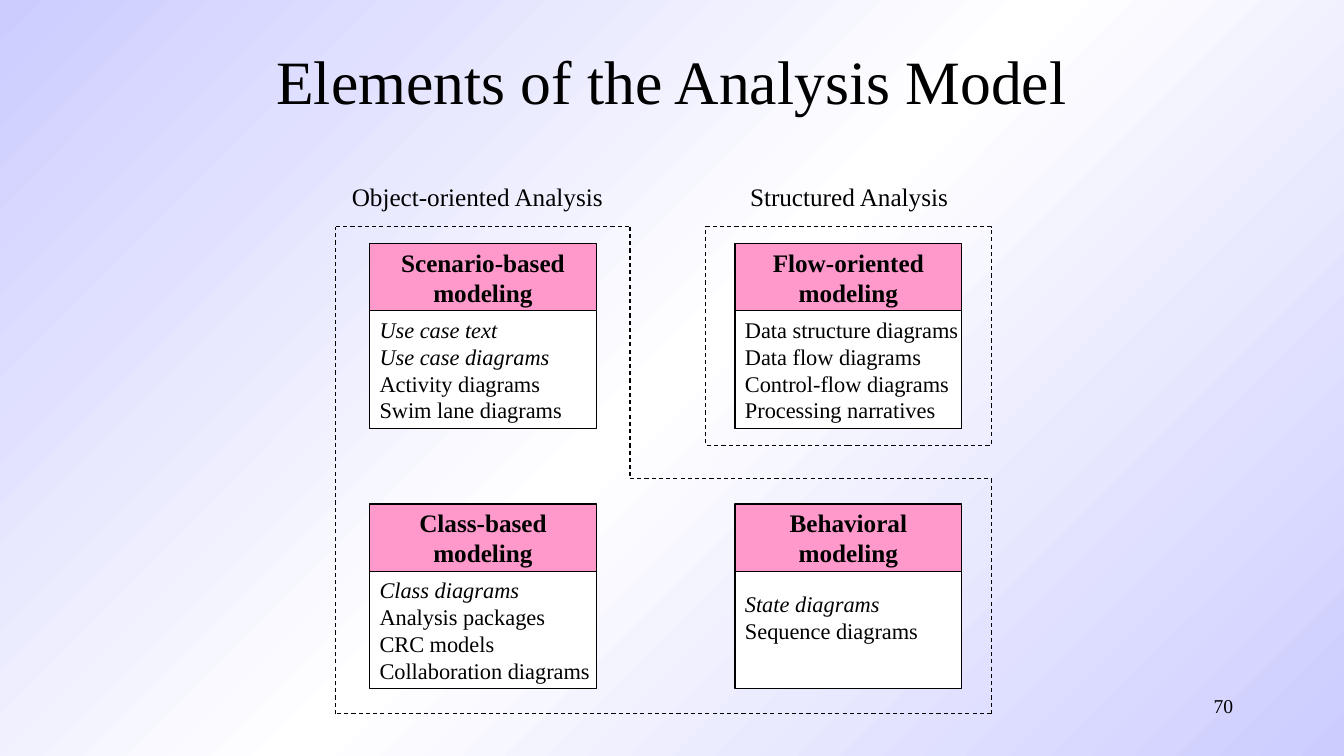
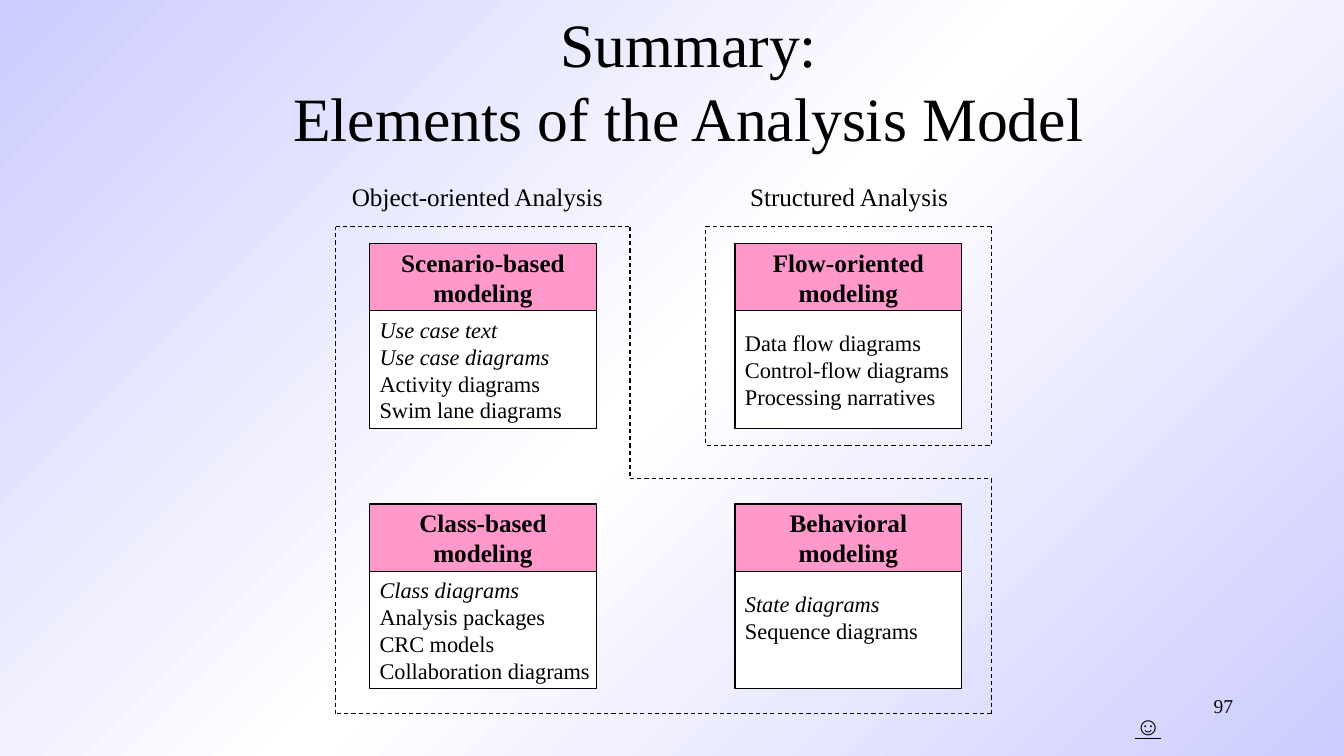
import copy
import itertools

import pptx
import pptx.dml.color
import pptx.enum.dml
import pptx.enum.shapes
import pptx.enum.text
import pptx.oxml
import pptx.oxml.ns
import pptx.util

Pt = pptx.util.Pt
ALIGN = pptx.enum.text.PP_ALIGN
ANCHOR = pptx.enum.text.MSO_ANCHOR
RECT = pptx.enum.shapes.MSO_SHAPE.RECTANGLE
DASH = pptx.enum.dml.MSO_LINE.DASH

COLORS = {"ink": "000000", "paper": "FFFFFF", "pink": "FF99CC", "lilac": "CCCCFF"}
FONT = "Times New Roman"
CARD = 162
HEAD = 48
BODY = 84
COLS = (264, 525)
ROWS = (174, 360)
LINE = 18.4

OUTLINE = [(240, 162), (450, 162), (450, 342), (708, 342), (708, 510), (240, 510)]
FLOWS = ["Data flow diagrams", "Control-flow diagrams", "Processing narratives"]
SLIDES = [
    (["Elements of the Analysis Model"], 174, "70", ["Data structure diagrams"] + FLOWS),
    (["Summary:", "Elements of the Analysis Model"], 186, "97", FLOWS),
]


def color(name):
    return pptx.dml.color.RGBColor.from_string(COLORS[name])


def add_run(para, text, size, bold=False, italic=False, under=False):
    run = para.add_run()
    run.text = text
    font = run.font
    font.name = FONT
    font.size = Pt(size)
    font.bold = bold
    font.italic = italic
    font.underline = under
    font.color.rgb = color("ink")


def set_line(line, dash=None):
    line.color.rgb = color("ink")
    line.width = Pt(0.75)
    if dash:
        line.dash_style = dash


def add_box(shapes, left, top, width, height, fill=None, dash=None):
    box = shapes.add_shape(RECT, Pt(left), Pt(top), Pt(width), Pt(height))
    box.shadow.inherit = False
    if fill:
        box.fill.solid()
        box.fill.fore_color.rgb = color(fill)
    else:
        box.fill.background()
    set_line(box.line, dash)
    return box


def fill_box(box, lines, size, align, bold=False, slant=0):
    frame = box.text_frame
    frame.word_wrap = True
    frame.vertical_anchor = ANCHOR.MIDDLE
    for i, text in enumerate(lines):
        para = frame.add_paragraph() if i else frame.paragraphs[0]
        para.alignment = align
        add_run(para, text, size, bold, italic=i < slant)


def add_card(slide, col, row, name, lines, slant=0, lift=0):
    shapes = slide.shapes.add_group_shape().shapes
    left, top = COLS[col], ROWS[row]
    body = add_box(shapes, left, top + HEAD, CARD, BODY, "paper")
    fill_box(body, lines, 16, ALIGN.LEFT, slant=slant)
    body.text_frame.margin_right = 0
    body.text_frame.margin_bottom = Pt(3.6 + lift)
    head = add_box(shapes, left, top, CARD, HEAD, "pink")
    fill_box(head, [name, "modeling"], 18, ALIGN.CENTER, bold=True)


def add_label(slide, text, left, top, width, height=29, size=18,
              align=ALIGN.CENTER, under=False):
    box = slide.shapes.add_textbox(Pt(left), Pt(top), Pt(width), Pt(height))
    box.text_frame.word_wrap = True
    para = box.text_frame.paragraphs[0]
    para.alignment = align
    add_run(para, text, size, under=under)


def add_edge(slide, start, end):
    kind = pptx.enum.shapes.MSO_CONNECTOR.STRAIGHT
    edge = slide.shapes.add_connector(kind, *map(Pt, start + end))
    set_line(edge.line, DASH)
    props = edge.element.spPr
    props.append(pptx.oxml.parse_xml("<a:effectLst %s/>" % pptx.oxml.ns.nsdecls("a")))


def set_title(slide, lines, left):
    title = slide.shapes.title
    title.left, title.top = Pt(left), Pt(12)
    title.width, title.height = Pt(612), Pt(90)
    frame = title.text_frame
    frame.word_wrap = True
    frame.auto_size = pptx.enum.text.MSO_AUTO_SIZE.NONE
    frame.vertical_anchor = ANCHOR.MIDDLE
    para = frame.paragraphs[0]
    para.alignment = ALIGN.CENTER
    for i, text in enumerate(lines):
        if i:
            para.add_line_break()
        add_run(para, text, 44)


def set_back(master):
    fill = master.background.fill
    fill.gradient()
    fill.gradient_angle = 315
    stops = next(master.element.iter(pptx.oxml.ns.qn("a:gsLst")))
    stops.insert(1, copy.deepcopy(stops[0]))
    for stop, name, place in zip(fill.gradient_stops, ("lilac", "paper", "lilac"), (0, 0.5, 1)):
        stop.color.rgb = color(name)
        stop.position = place


def add_model(slide, flows):
    add_card(slide, 0, 0, "Scenario-based",
             ["Use case text", "Use case diagrams", "Activity diagrams",
              "Swim lane diagrams"], slant=2)
    add_card(slide, 0, 1, "Class-based",
             ["Class diagrams", "Analysis packages", "CRC models",
              "Collaboration diagrams"], slant=1)
    add_card(slide, 1, 0, "Flow-oriented", flows)
    add_card(slide, 1, 1, "Behavioral",
             ["State diagrams", "Sequence diagrams"], slant=1, lift=LINE)
    add_box(slide.shapes, 504, 162, 204, 156, dash=DASH)
    add_label(slide, "Structured Analysis", 516.5, 126, 180)
    for start, end in itertools.pairwise(OUTLINE + OUTLINE[:1]):
        add_edge(slide, start, end)
    add_label(slide, "Object-oriented Analysis", 241, 126, 200)


def main():
    deck = pptx.Presentation()
    deck.slide_width, deck.slide_height = Pt(960), Pt(540)
    set_back(deck.slide_master)
    for title, left, page, flows in SLIDES:
        slide = deck.slides.add_slide(deck.slide_layouts[5])
        add_label(slide, page, 688, 492, 200, 36, 14, ALIGN.RIGHT)
        set_title(slide, title, left)
        add_model(slide, flows)
    add_label(slide, "☺", 804, 504, 30, under=True)
    deck.save("out.pptx")


if __name__ == "__main__":
    main()
